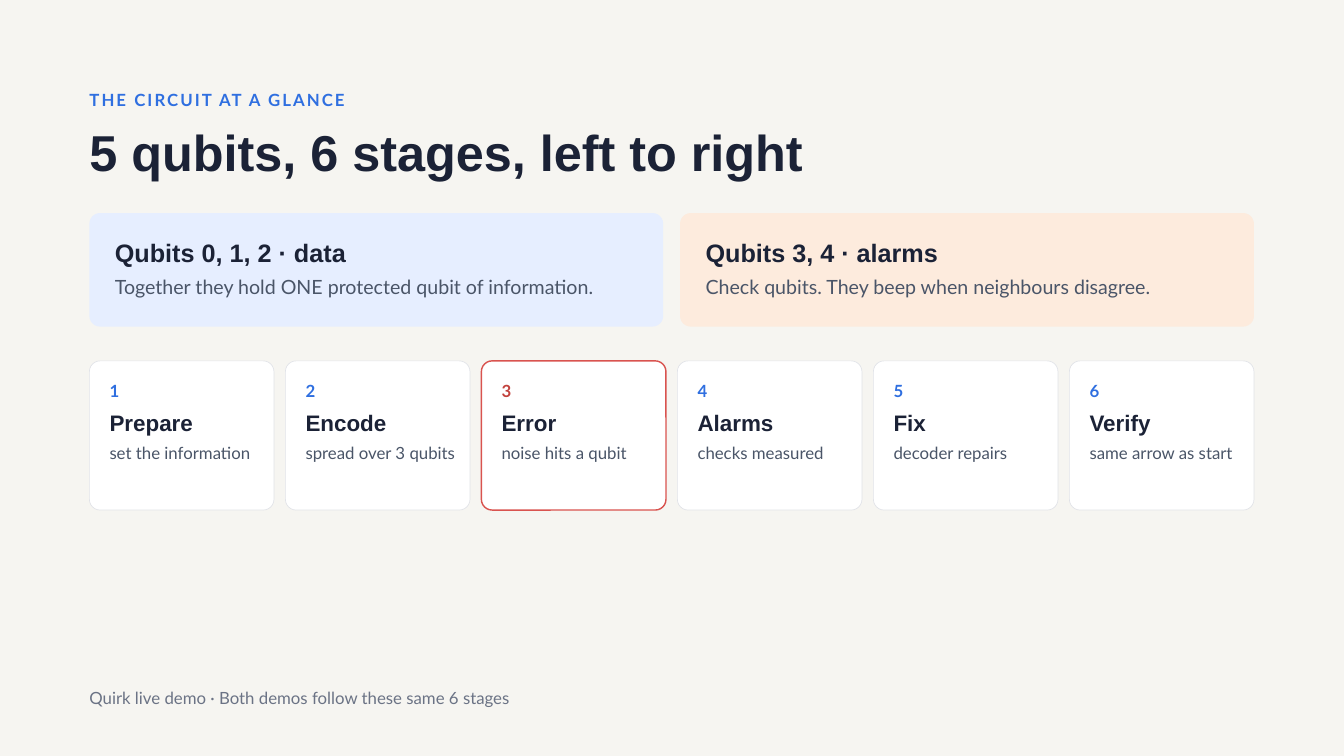
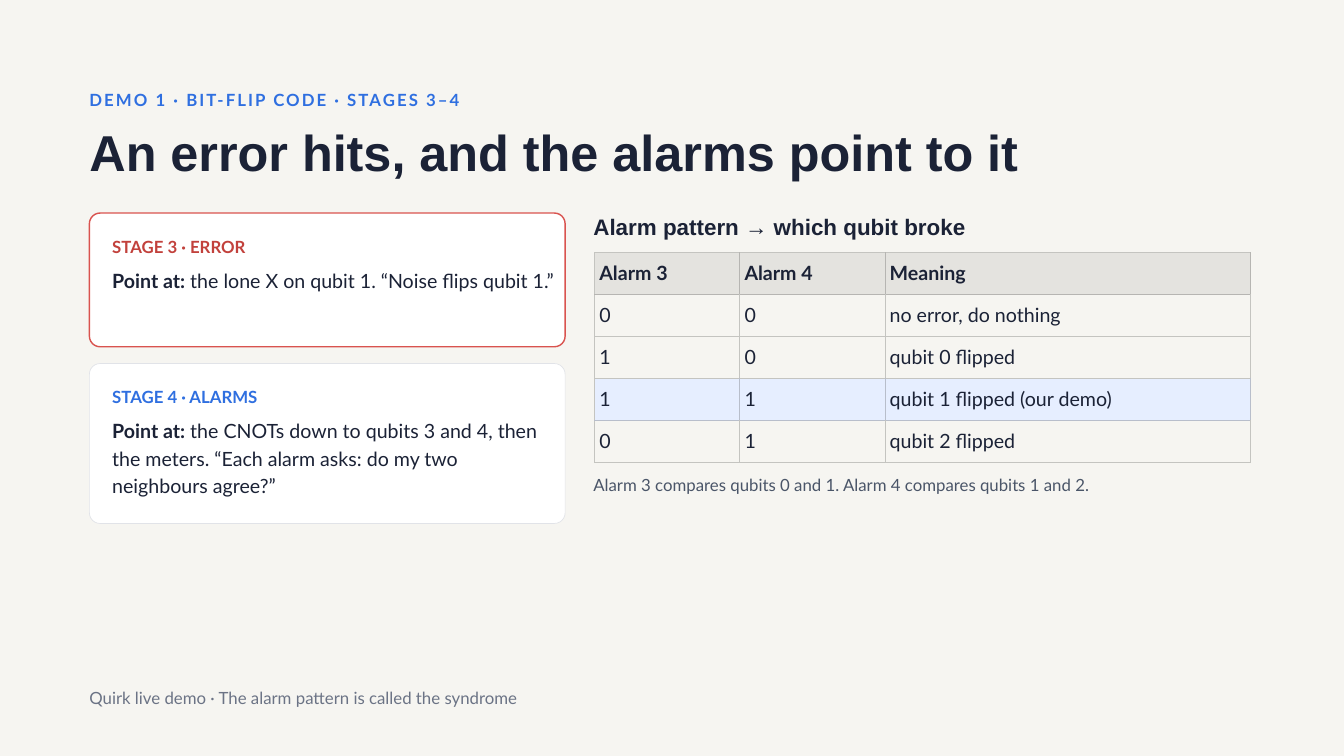
from collections import namedtuple
from dataclasses import dataclass

from lxml.etree import SubElement
from pptx import Presentation
from pptx.dml.color import RGBColor
from pptx.enum.shapes import MSO_SHAPE
from pptx.enum.text import MSO_ANCHOR, MSO_AUTO_SIZE, PP_ALIGN
from pptx.oxml.ns import qn
from pptx.util import Inches, Pt

Box = namedtuple("Box", "x y w h")
Style = namedtuple("Style", "size font lead bold")


@dataclass(frozen=True)
class Theme:
    # Colours
    page: str = "F6F5F1"
    ink: str = "1B2236"
    body: str = "4A5568"
    mute: str = "6B7385"
    blue: str = "2F6FE0"
    red: str = "C2413C"
    white: str = "FFFFFF"
    rim: str = "E1E3E8"
    alert: str = "D9534F"
    sky: str = "E6EEFF"
    peach: str = "FDEBDD"
    head: str = "E4E3DF"
    grid: str = "C4C4C0"
    headline: str = "B6B5B2"
    skyline: str = "B8BECB"
    # Type: size, font, line spacing, bold
    title: Style = Style(54, "Arial", 59.4, True)
    large: Style = Style(27, "Arial", 32.4, True)
    sub: Style = Style(24, "Arial", 28.8, True)
    text: Style = Style(21, "Lato", 29.4, False)
    strong: Style = Style(21, "Lato", 29.4, True)
    small: Style = Style(18, "Lato", 25.2, False)
    label: Style = Style(18, "Lato", 25.2, True)


T = Theme()
LEFT, WIDE = 1.33, 17.33
TOP = 3.17
ROUND = 0.16


def rgb(code):
    return RGBColor.from_string(code)


def place(box):
    return [Inches(n) for n in box]


def split(box, count, gap):
    """Cut a box into equal columns."""
    wide = (box.w - gap * (count - 1)) / count
    return [Box(box.x + i * (wide + gap), box.y, wide, box.h)
            for i in range(count)]


def style(run, kind, color):
    run.font.size = Pt(kind.size)
    run.font.name = kind.font
    run.font.bold = kind.bold
    run.font.color.rgb = rgb(color)


def fill_text(frame, text, kind, color, margin=0):
    frame.word_wrap = True
    frame.margin_left = frame.margin_right = Inches(margin)
    frame.margin_top = frame.margin_bottom = Inches(margin)
    frame.text = text
    para = frame.paragraphs[0]
    para.alignment = PP_ALIGN.LEFT
    para.line_spacing = Pt(kind.lead)
    style(para.runs[0], kind, color)
    return para


def write(slide, box, text, kind, color):
    frame = slide.shapes.add_textbox(*place(box)).text_frame
    return fill_text(frame, text, kind, color)


def panel(slide, box, fill, line=None, weight=0.75):
    shape = slide.shapes.add_shape(MSO_SHAPE.ROUNDED_RECTANGLE, *place(box))
    shape.adjustments[0] = ROUND / min(box.w, box.h)
    shape.shadow.inherit = False
    shape.fill.solid()
    shape.fill.fore_color.rgb = rgb(fill)
    if line:
        shape.line.color.rgb = rgb(line)
        shape.line.width = Pt(weight)
    else:
        shape.line.fill.background()


def card(slide, box, alert):
    """Draw a white card and return its label colour."""
    if alert:
        panel(slide, box, T.white, T.alert, 1.5)
        return T.red
    panel(slide, box, T.white, T.rim)
    return T.blue


# Kicker, title and footer shared by all slides
def start(deck, kicker, title, foot):
    slide = deck.slides.add_slide(deck.slide_layouts[5])
    para = write(slide, Box(LEFT, 1.29, 17.85, 0.43), kicker, T.label, T.blue)
    para.runs[0]._r.get_or_add_rPr().set("spc", "220")

    head = slide.shapes.title
    head.left, head.top, head.width, head.height = place(
        Box(LEFT, 1.87, 17.85, 0.85))
    fill_text(head.text_frame, title, T.title, T.ink)
    head.text_frame.vertical_anchor = MSO_ANCHOR.TOP
    head.text_frame.auto_size = MSO_AUTO_SIZE.NONE

    write(slide, Box(LEFT, 10.19, 17.85, 0.43), foot, T.small, T.mute)
    return slide


# Tinted band for a group of qubits
def band(slide, box, fill, name, note):
    panel(slide, box, fill)
    x, wide = box.x + 0.38, box.w - 0.51
    write(slide, Box(x, box.y + 0.36, wide, 0.51), name, T.large, T.ink)
    write(slide, Box(x, box.y + 0.86, wide, 0.5), note, T.text, T.body)


# Numbered stage of the circuit
def stage(slide, box, num, name, note, alert):
    color = card(slide, box, alert)
    x, wide = box.x + 0.3, box.w - 0.45
    write(slide, Box(x, box.y + 0.25, wide, 0.43), str(num), T.label, color)
    write(slide, Box(x, box.y + 0.72, wide, 0.45), name, T.sub, T.ink)
    write(slide, Box(x, box.y + 1.17, wide, 0.43), note, T.small, T.body)


# Speaking cue for one stage
def cue(slide, box, name, note, alert=False):
    color = card(slide, box, alert)
    x, wide = box.x + 0.34, box.w - 0.48
    write(slide, Box(x, box.y + 0.3, wide, 0.43), name, T.label, color)
    para = write(slide, Box(x, box.y + 0.77, wide, box.h - 1.06),
                 "Point at:", T.strong, T.ink)
    run = para.add_run()
    run.text = " " + note
    style(run, T.text, T.ink)


def border(cell, **sides):
    props = cell._tc.get_or_add_tcPr()
    for spot, (side, color) in enumerate(sides.items()):
        line = SubElement(props, qn(f"a:ln{side}"), w=str(Pt(1)))
        paint = SubElement(line, qn("a:solidFill"))
        SubElement(paint, qn("a:srgbClr"), val=color)
        props.insert(spot, line)


# Table of alarm patterns with one row picked out
def pattern(slide, box, rows, widths, pick):
    grid = slide.shapes.add_table(len(rows), len(widths), *place(box)).table
    grid.first_row = grid.horz_banding = False
    for col, wide in zip(grid.columns, widths):
        col.width = Inches(wide)
    looks = {0: (T.head, T.headline), pick: (T.sky, T.skyline)}
    above = T.grid
    for r, row in enumerate(rows):
        grid.rows[r].height = Inches(box.h / len(rows))
        fill, edge = looks.get(r, (None, T.grid))
        for c, text in enumerate(row):
            cell = grid.cell(r, c)
            fill_text(cell.text_frame, text, T.text if r else T.strong, T.ink)
            cell.margin_left = cell.margin_right = Inches(0.07)
            cell.margin_top = cell.margin_bottom = Inches(0.07)
            if fill:
                cell.fill.solid()
                cell.fill.fore_color.rgb = rgb(fill)
            else:
                cell.fill.background()
            border(cell, L=edge if c else T.grid, R=edge, T=above, B=edge)
        above = edge


def circuit(deck):
    slide = start(deck, "THE CIRCUIT AT A GLANCE",
                  "5 qubits, 6 stages, left to right",
                  "Quirk live demo · Both demos follow these same 6 stages")
    bands = [
        (T.sky, "Qubits 0, 1, 2 · data",
         "Together they hold ONE protected qubit of information."),
        (T.peach, "Qubits 3, 4 · alarms",
         "Check qubits. They beep when neighbours disagree."),
    ]
    for box, item in zip(split(Box(LEFT, TOP, WIDE, 1.69), 2, 0.25), bands):
        band(slide, box, *item)

    stages = [
        ("Prepare", "set the information"),
        ("Encode", "spread over 3 qubits"),
        ("Error", "noise hits a qubit"),
        ("Alarms", "checks measured"),
        ("Fix", "decoder repairs"),
        ("Verify", "same arrow as start"),
    ]
    boxes = split(Box(LEFT, 5.37, WIDE, 2.22), len(stages), 0.17)
    for num, (box, (name, note)) in enumerate(zip(boxes, stages), 1):
        stage(slide, box, num, name, note, name == "Error")


def alarms(deck):
    slide = start(deck, "DEMO 1 · BIT-FLIP CODE · STAGES 3–4",
                  "An error hits, and the alarms point to it",
                  "Quirk live demo · The alarm pattern is called the syndrome")
    # Cues on the left
    cue(slide, Box(LEFT, TOP, 7.08, 1.99), "STAGE 3 · ERROR",
        "the lone X on qubit 1. “Noise flips qubit 1.”", alert=True)
    cue(slide, Box(LEFT, 5.41, 7.08, 2.38), "STAGE 4 · ALARMS",
        "the CNOTs down to qubits 3 and 4, then the meters. "
        "“Each alarm asks: do my two neighbours agree?”")

    # Alarm patterns on the right
    write(slide, Box(8.83, TOP, 10.13, 0.45),
          "Alarm pattern → which qubit broke", T.sub, T.ink)
    rows = [
        ("Alarm 3", "Alarm 4", "Meaning"),
        ("0", "0", "no error, do nothing"),
        ("1", "0", "qubit 0 flipped"),
        ("1", "1", "qubit 1 flipped (our demo)"),
        ("0", "1", "qubit 2 flipped"),
    ]
    pattern(slide, Box(8.85, 3.76, 9.77, 3.12), rows, (2.16, 2.16, 5.44), 3)
    write(slide, Box(8.83, 7.02, 10.13, 0.43),
          "Alarm 3 compares qubits 0 and 1. Alarm 4 compares qubits 1 and 2.",
          T.small, T.body)


def main():
    deck = Presentation()
    deck.slide_width, deck.slide_height = Inches(20), Inches(11.25)
    back = deck.slide_master.background.fill
    back.solid()
    back.fore_color.rgb = rgb(T.page)
    circuit(deck)
    alarms(deck)
    deck.save("out.pptx")


if __name__ == "__main__":
    main()
